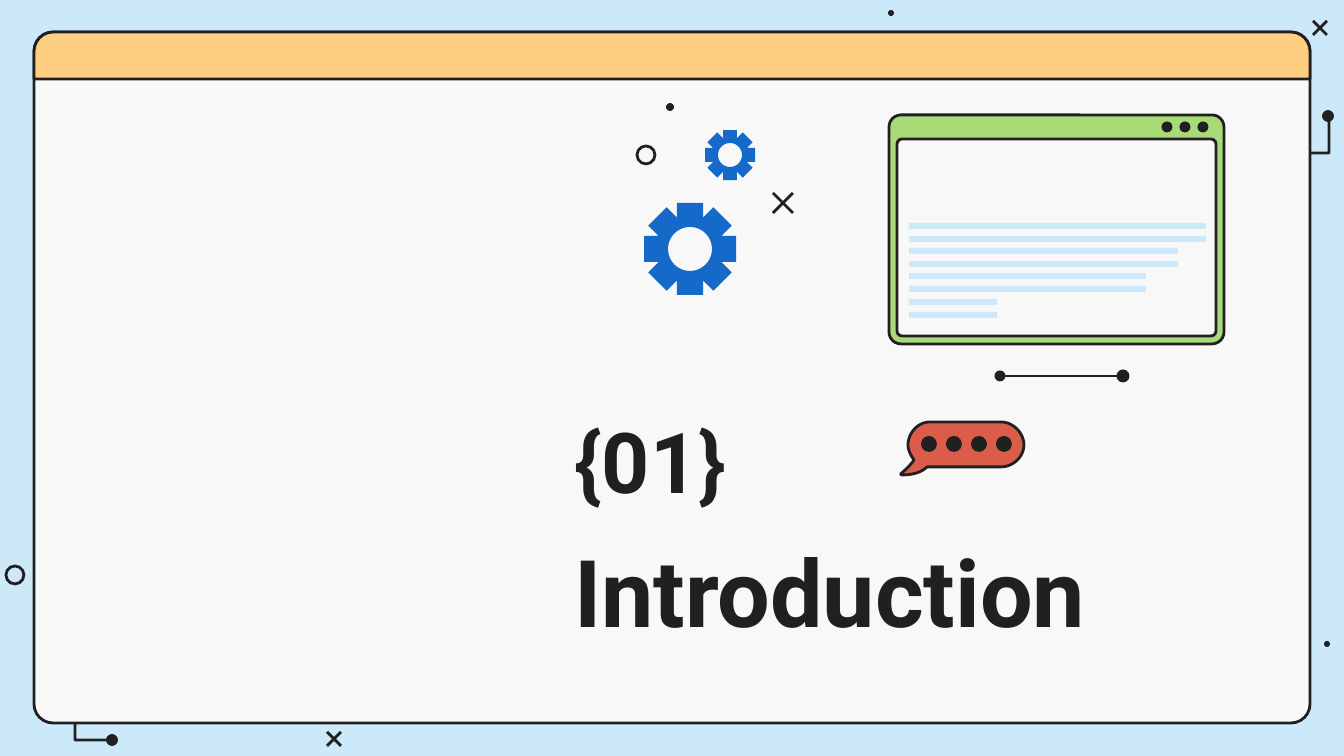
import math

import pptx
import pptx.dml.color
import pptx.enum.shapes
import pptx.enum.text
import pptx.oxml.ns
import pptx.util
from lxml import etree

PX = 9144000 / 1344  # EMU per px
SHAPES = pptx.enum.shapes.MSO_SHAPE
COLORS = {
    "sky": "CCE9FA",
    "ink": "202020",
    "paper": "F8F8F8",
    "amber": "FFCF81",
    "blue": "1569C9",
    "green": "A8DB78",
    "red": "DB5D49",
}


def px(length):
    return pptx.util.Emu(round(length * PX))


def rgb(name):
    return pptx.dml.color.RGBColor.from_string(COLORS[name])


def style(shape, fill=None, outlined=False):
    shape.shadow.inherit = False
    if fill:
        shape.fill.solid()
        shape.fill.fore_color.rgb = rgb(fill)
    else:
        shape.fill.background()
    if outlined:
        shape.line.color.rgb = rgb("ink")
        shape.line.width = pptx.util.Pt(1.5)
    else:
        shape.line.fill.background()


def add_preset(slide, kind, left, top, width, height, fill=None, outlined=False, adjust=()):
    shape = slide.shapes.add_shape(kind, px(left), px(top), px(width), px(height))
    for index, value in enumerate(adjust):
        shape.adjustments[index] = value
    style(shape, fill, outlined)


def add_panel(slide, left, top, width, height, radius, fill):
    add_preset(slide, SHAPES.ROUNDED_RECTANGLE, left, top, width, height, fill, True,
               [radius / min(width, height)])


def add_dot(slide, x, y, size):
    add_preset(slide, SHAPES.OVAL, x - size / 2, y - size / 2, size, size, "ink")


def add_ring(slide, x, y, size=18):
    add_preset(slide, SHAPES.OVAL, x - size / 2, y - size / 2, size, size, None, True)


def add_line(slide, x1, y1, x2, y2):
    line = slide.shapes.add_connector(
        pptx.enum.shapes.MSO_CONNECTOR.STRAIGHT, px(x1), px(y1), px(x2), px(y2))
    line.line.color.rgb = rgb("ink")
    line.line.width = pptx.util.Pt(1.5)
    etree.SubElement(line._element.spPr, pptx.oxml.ns.qn("a:effectLst"))


def add_cross(slide, x, y, arm):
    add_line(slide, x - arm, y - arm, x + arm, y + arm)
    add_line(slide, x + arm, y - arm, x - arm, y + arm)


def add_outline(slide, contours, fill=None, outlined=False, close=True):
    scaled = [[(px(x), px(y)) for x, y in contour] for contour in contours]
    builder = slide.shapes.build_freeform(*scaled[0][0])
    builder.add_line_segments(scaled[0][1:], close=close)
    for contour in scaled[1:]:
        builder.move_to(*contour[0])
        builder.add_line_segments(contour[1:], close=close)
    style(builder.convert_to_shape(), fill, outlined)


def add_gear(slide, x, y, tip, valley, half_tooth, hole):
    tooth = [(-half_tooth, -valley), (-half_tooth, -tip),
             (half_tooth, -tip), (half_tooth, -valley)]
    rim = []
    for turn in range(8):
        c, s = math.cos(turn * math.pi / 4), math.sin(turn * math.pi / 4)
        rim += [(x + u * c - v * s, y + u * s + v * c) for u, v in tooth]
    angles = [-math.tau * step / 48 for step in range(48)]
    bore = [(x + hole * math.cos(a), y + hole * math.sin(a)) for a in angles]
    add_outline(slide, [rim, bore], "blue")


def curve(start, first, second, end, steps=10):
    points = []
    for step in range(1, steps + 1):
        t = step / steps
        weights = ((1 - t) ** 3, 3 * t * (1 - t) ** 2, 3 * t * t * (1 - t), t ** 3)
        points.append(tuple(sum(w * p[axis] for w, p in zip(weights, (start, first, second, end)))
                            for axis in (0, 1)))
    return points


def add_heading(slide, text, left, top, width, height, size):
    box = slide.shapes.add_textbox(px(left), px(top), px(width), px(height))
    frame = box.text_frame
    frame.word_wrap = True
    frame.vertical_anchor = pptx.enum.text.MSO_ANCHOR.BOTTOM
    frame.margin_left = frame.margin_right = pptx.util.Inches(0.1)
    frame.margin_top = frame.margin_bottom = pptx.util.Inches(0.1)
    run = frame.paragraphs[0].add_run()
    run.text = text
    run.font.name = "Roboto"
    run.font.size = pptx.util.Pt(size)
    run.font.bold = True
    run.font.color.rgb = rgb("ink")


def add_border_decor(slide):
    add_outline(slide, [[(99, 488), (75, 512), (75, 740), (112, 740)]], None, True, False)
    add_outline(slide, [[(1075, 129), (1100, 153), (1329, 153), (1329, 116)]], None, True, False)
    for x, y, size in [(112, 740, 12), (1328, 116, 12), (891, 13, 6), (1327, 644, 6)]:
        add_dot(slide, x, y, size)
    add_ring(slide, 15, 575)
    add_cross(slide, 334, 739, 7)
    add_cross(slide, 1320, 28, 7)


def add_main_window(slide):
    add_panel(slide, 34, 32, 1276, 691, 19, "paper")
    add_preset(slide, SHAPES.ROUND_2_SAME_RECTANGLE, 34, 32, 1276, 47, "amber", True, [0.41, 0])


def add_gears(slide):
    add_gear(slide, 690, 249, 46, 31, 13, 22)
    add_gear(slide, 730, 155, 25, 17, 7, 12)
    add_cross(slide, 783, 203, 10)
    add_ring(slide, 646, 155)
    add_dot(slide, 670, 107, 8)


def add_code_window(slide):
    add_panel(slide, 889, 115, 335, 229, 12, "green")
    add_panel(slide, 897, 139, 319, 197, 5, "paper")
    for button in range(3):
        add_dot(slide, 1167 + button * 18, 127, 11)
    # Lines of code come in pairs of equal length
    for top, width in [(223, 297), (248, 269), (273, 237), (299, 88)]:
        for row in range(2):
            add_preset(slide, SHAPES.RECTANGLE, 909, top + row * 13, width, 6, "sky")
    # Slider below the window
    add_line(slide, 1000, 376, 1123, 376)
    add_dot(slide, 1000, 376, 11)
    add_dot(slide, 1123, 376, 13)


def add_speech_bubble(slide):
    bubble = [(902, 473)]
    bubble += curve((902, 473), (905, 470), (910, 466), (914, 460))
    bubble += curve((914, 460), (911, 456), (908, 450), (908, 445))
    bubble += curve((908, 445), (908, 433), (918, 422), (930, 422))
    bubble += [(1001, 422)]
    bubble += curve((1001, 422), (1013, 422), (1024, 433), (1024, 445))
    bubble += curve((1024, 445), (1024, 457), (1013, 467), (1001, 467))
    bubble += [(930, 467), (927, 467)]
    bubble += curve((927, 467), (922, 472), (914, 475), (902, 475))
    bubble += curve((902, 475), (901, 475), (900, 474), (902, 473))
    add_outline(slide, [bubble], "red", True)
    for dot in range(4):
        add_dot(slide, 929 + dot * 25, 444, 16)


def main():
    deck = pptx.Presentation()
    deck.slide_width, deck.slide_height = px(1344), px(756)
    slide = deck.slides.add_slide(deck.slide_layouts[6])
    slide.background.fill.solid()
    slide.background.fill.fore_color.rgb = rgb("sky")
    add_border_decor(slide)
    add_main_window(slide)
    add_heading(slide, "Introduction", 561, 524, 611, 136, 50)
    add_heading(slide, "{01}", 561, 388, 251, 136, 45)
    add_gears(slide)
    add_code_window(slide)
    add_speech_bubble(slide)
    deck.save("out.pptx")


if __name__ == "__main__":
    main()
